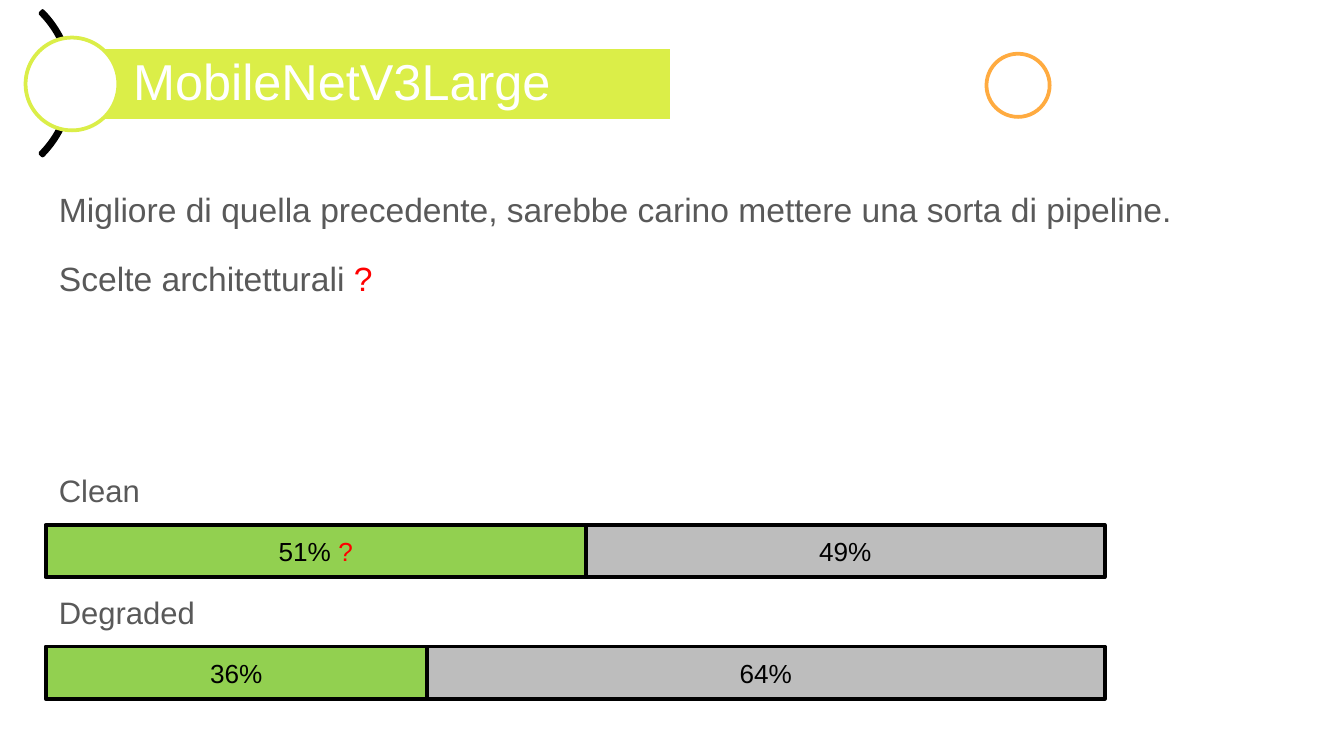
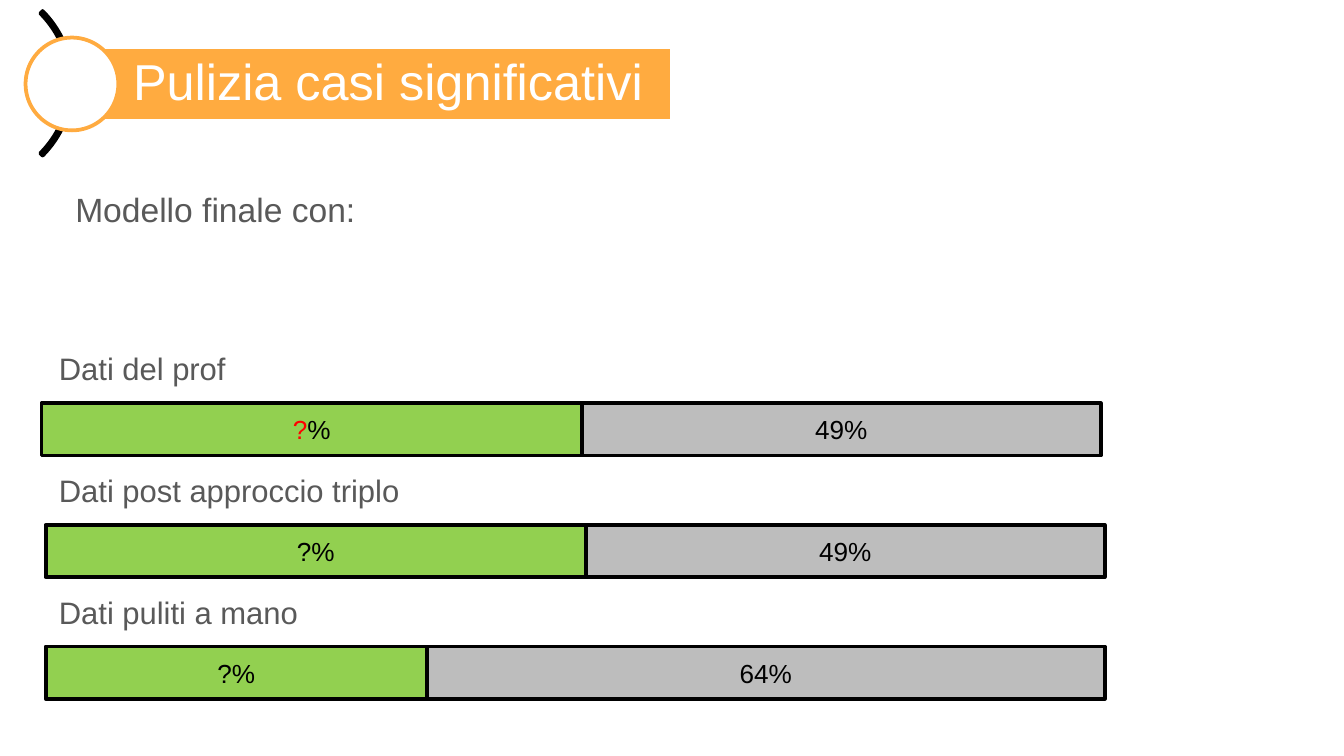
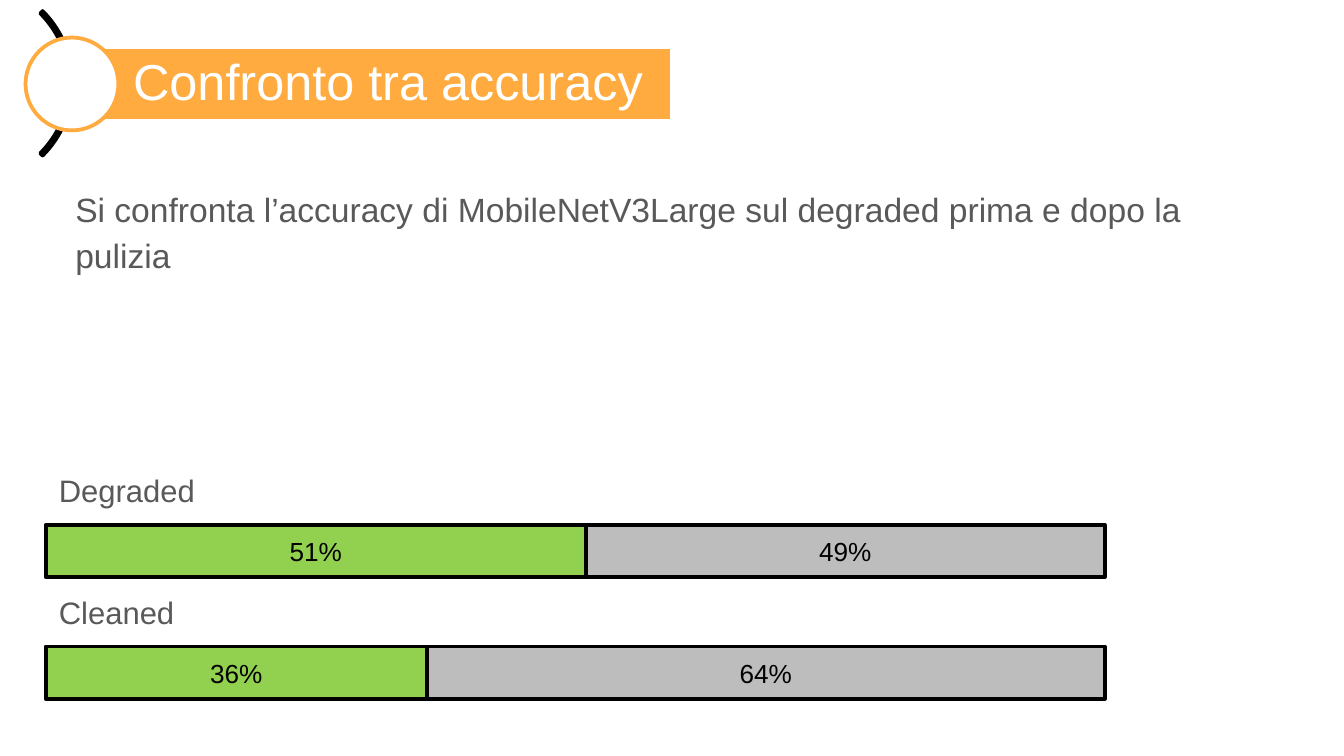
import pptx
import pptx.util
import pptx.dml.color
import pptx.enum.shapes
import pptx.enum.text

KIND = pptx.enum.shapes.MSO_SHAPE
ALIGN = pptx.enum.text.PP_ALIGN
ANCHOR = pptx.enum.text.MSO_ANCHOR
FIT = pptx.enum.text.MSO_AUTO_SIZE

HUE = {
    "lime": "DBEE48",
    "orange": "FFAB40",
    "green": "92D050",
    "grey": "BDBDBD",
    "text": "595959",
    "black": "000000",
    "white": "FFFFFF",
    "red": "FF0000",
}
FONT = "Arial"
WIDE, HIGH = pptx.util.Inches(10), pptx.util.Inches(5.625)
COLS, ROWS = 100, 56.25
LEFT = 3.4
SPAN = 78.8
THICK = 3.9
LAST = 48.1
PITCH = 9.05


def grid(x, y, w, h):
    col, row = WIDE / COLS, HIGH / ROWS
    return [round(n) for n in (x * col, y * row, w * col, h * row)]


def color(name):
    return pptx.dml.color.RGBColor.from_string(HUE[name])


def paint(shape, fill, line):
    shape.fill.solid()
    shape.fill.fore_color.rgb = color(fill)
    shape.line.color.rgb = color(line)
    shape.line.width = pptx.util.Pt(2)


def write(shape, *paras, size=14, hue="black", align=ALIGN.LEFT,
          anchor=ANCHOR.TOP, inset=(0.1, 0.1, 0.1, 0.1), lead=1.0, after=0):
    frame = shape.text_frame
    frame.word_wrap = True
    frame.auto_size = FIT.NONE
    frame.vertical_anchor = anchor
    (frame.margin_left, frame.margin_top,
     frame.margin_right, frame.margin_bottom) = map(pptx.util.Inches, inset)
    for num, runs in enumerate(paras):
        para = frame.add_paragraph() if num else frame.paragraphs[0]
        para.alignment = align
        para.line_spacing = lead
        para.space_before = pptx.util.Pt(0)
        para.space_after = pptx.util.Pt(after)
        for words, tint in runs:
            run = para.add_run()
            run.text = words
            run.font.name = FONT
            run.font.size = pptx.util.Pt(size)
            run.font.color.rgb = color(tint or hue)


def plain(words):
    return [(words, None)]


def add(slide, kind, box, fill, line):
    shape = slide.shapes.add_shape(kind, *grid(*box))
    shape.shadow.inherit = False
    paint(shape, fill, line)
    return shape


def ring(slide, x, y, size, hue):
    add(slide, KIND.OVAL, (x, y, size, size), "white", hue)


def note(slide, box, *paras, **form):
    area = slide.shapes.add_textbox(*grid(*box))
    write(area, *paras, hue="text", **form)


def start(deck, title, hue):
    slide = deck.slides.add_slide(deck.slide_layouts[5])
    band = slide.shapes.title
    band.left, band.top, band.width, band.height = grid(5.4, 3.5, 44.6, 5.5)
    paint(band, hue, "white")
    write(band, plain(title), size=27, hue="white", anchor=ANCHOR.MIDDLE,
          inset=(0.45, 0.07, 0.07, 0.07), lead=0.9)
    arc = add(slide, KIND.BLOCK_ARC, (-9.8, -1.4, 15.2, 15.2), "black", "black")
    for num, value in enumerate((189, 27, 0.016)):
        arc.adjustments[num] = value
    ring(slide, 1.9, 2.8, 6.9, hue)
    return slide


def intro(slide, *paras, indent=0.0, after=0):
    note(slide, (LEFT, 12.6, 93.2, 21.3), *paras, size=18, lead=1.15,
         after=after, inset=(0.1 + indent, 0.1, 0.1, 0.1))


def bar(slide, back, label, share, good, bad, left=LEFT):
    top = LAST - back * PITCH
    note(slide, (LEFT, top - 5.1, 32.2, 5), plain(label), size=16.6, lead=1.05)
    cut = SPAN * share
    parts = ((left, cut, "green", good),
             (left + cut, SPAN - cut, "grey", plain(bad)))
    for x, wide, fill, runs in parts:
        part = add(slide, KIND.RECTANGLE, (x, top, wide, THICK), fill, "black")
        write(part, runs, align=ALIGN.CENTER, anchor=ANCHOR.MIDDLE,
              inset=(0.1, 0.05, 0.1, 0.05))


def main():
    deck = pptx.Presentation()
    deck.slide_width, deck.slide_height = WIDE, HIGH
    ask = ("?", "red")

    slide = start(deck, "MobileNetV3Large", "lime")
    ring(slide, 73.4, 4, 4.7, "orange")
    intro(slide,
          plain("Migliore di quella precedente, sarebbe carino mettere una sorta di pipeline."),
          [("Scelte architetturali ", None), ask], after=12)
    bar(slide, 1, "Clean", 0.51, [("51% ", None), ask], "49%")
    bar(slide, 0, "Degraded", 0.36, plain("36%"), "64%")

    slide = start(deck, "Pulizia casi significativi", "orange")
    intro(slide, plain("Modello finale con:"), indent=0.12)
    bar(slide, 2, "Dati del prof", 0.51, [ask, ("%", None)], "49%", left=3.1)
    bar(slide, 1, "Dati post approccio triplo", 0.51, plain("?%"), "49%")
    bar(slide, 0, "Dati puliti a mano", 0.36, plain("?%"), "64%")

    slide = start(deck, "Confronto tra accuracy", "orange")
    intro(slide,
          plain("Si confronta l’accuracy di MobileNetV3Large sul degraded prima e dopo la pulizia"),
          indent=0.12)
    bar(slide, 1, "Degraded", 0.51, plain("51%"), "49%")
    bar(slide, 0, "Cleaned", 0.36, plain("36%"), "64%")

    deck.save("out.pptx")


if __name__ == "__main__":
    main()
